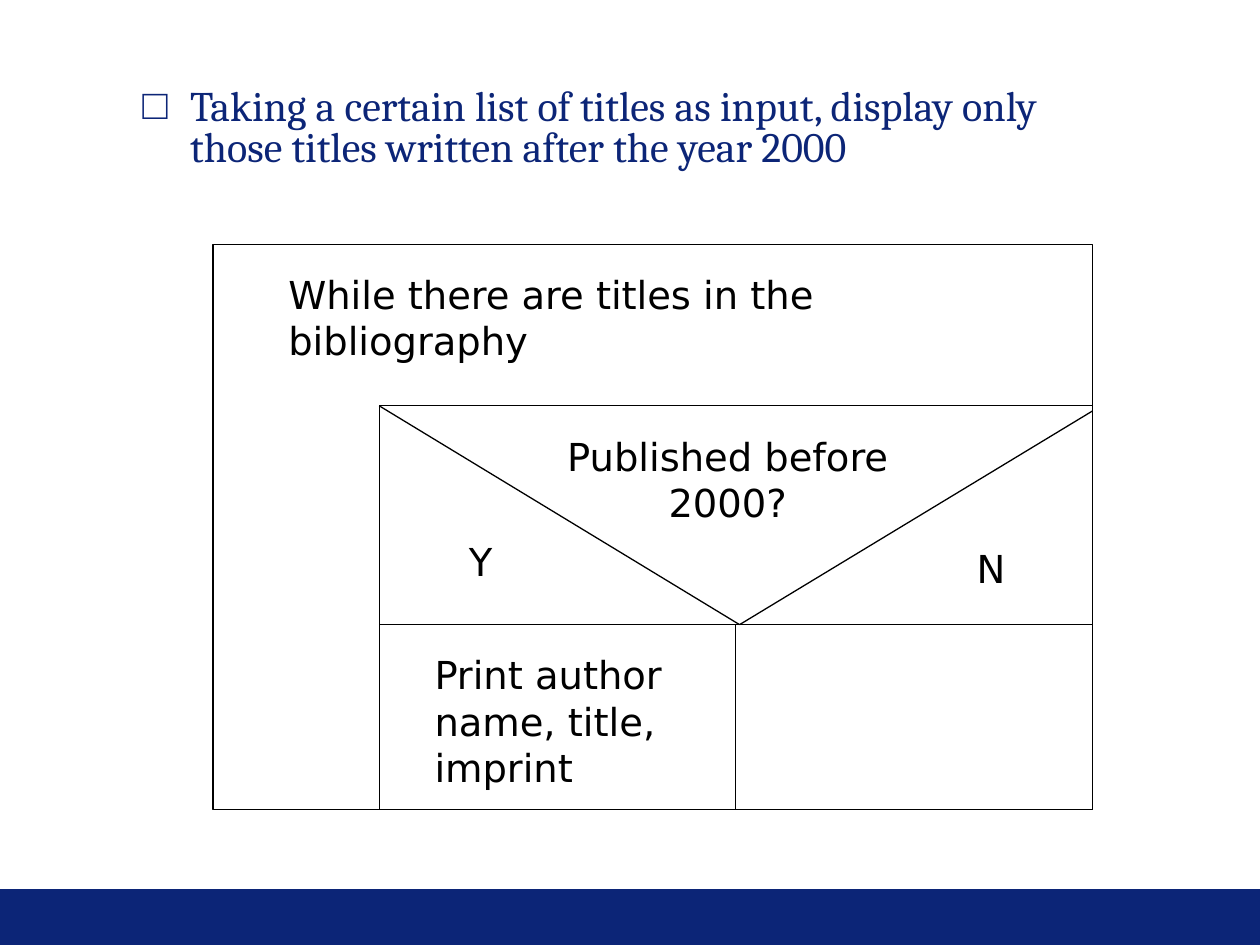
"""Build a slide with a structure chart that filters titles by year."""
from lxml import etree
from pptx import Presentation
from pptx.dml.color import RGBColor
from pptx.enum.shapes import MSO_CONNECTOR, MSO_SHAPE
from pptx.enum.text import MSO_ANCHOR, MSO_AUTO_SIZE, PP_ALIGN
from pptx.oxml.ns import qn
from pptx.util import Inches, Pt

RECT = MSO_SHAPE.RECTANGLE
LINE = MSO_CONNECTOR.STRAIGHT
TOP = MSO_ANCHOR.TOP
GROW = MSO_AUTO_SIZE.SHAPE_TO_FIT_TEXT
FIXED = MSO_AUTO_SIZE.NONE
LEFT, CENTER = PP_ALIGN.LEFT, PP_ALIGN.CENTER
NAVY = RGBColor(0x0C, 0x25, 0x77)
BLACK = RGBColor(0, 0, 0)

deck = Presentation()
deck.slide_width, deck.slide_height = Inches(10), Inches(7.5)
col, row = deck.slide_width / 100, deck.slide_height / 100
slide = deck.slides.add_slide(deck.slide_layouts[1])
shapes = slide.shapes


def grid(x, y, wide, high):
    return [round(n) for n in (x * col, y * row, wide * col, high * row)]


def write(frame, words, size=22, font="DejaVu Sans", color=BLACK, align=LEFT, fit=GROW):
    frame.word_wrap = True
    frame.auto_size = fit
    frame.vertical_anchor = TOP
    para = frame.paragraphs[0]
    para.alignment = align
    run = para.add_run()
    run.text = words
    run.font.size, run.font.name = Pt(size), font
    run.font.color.rgb = color
    return para


bar = shapes.add_shape(RECT, *grid(0, 94.1, 100, 5.9))
bar.shadow.inherit = False
bar.fill.solid()
bar.fill.fore_color.rgb = NAVY
bar.line.fill.background()

title = shapes.title.element
title.getparent().remove(title)
body = slide.placeholders[1]
body.left, body.top, body.width, body.height = grid(10.3, 1.47, 76.4, 23.2)
task = write(
    body.text_frame,
    "Taking a certain list of titles as input, display only those titles written after the year 2000",
    size=24, font="Cambria", color=NAVY, fit=FIXED,
)
body.text_frame.margin_top = round(8 * row)
task.line_spacing = 0.8
task.space_before = Pt(0)
props = task._p.get_or_add_pPr()
props.set("marL", str(Inches(0.38)))
props.set("indent", str(-Inches(0.38)))
tint = etree.SubElement(props, qn("a:buClr"))
etree.SubElement(tint, qn("a:srgbClr"), val=str(NAVY))
etree.SubElement(props, qn("a:buChar"), char="□")

edge, step, mid, end = 16.9, 30.1, 58.4, 86.7
head, test, act, foot = 25.87, 42.95, 66.1, 85.7
tip = 58.7

for x, y, base in ((edge, head, foot), (step, test, act), (step, act, foot)):
    box = shapes.add_shape(RECT, *grid(x, y, end - x, base - y))
    box.shadow.inherit = False
    box.fill.background()
    box.line.color.rgb = BLACK
    box.line.width = Pt(0.75)

for ends in ((step, test, tip, act), (tip, act, end, 43.5), (mid, act, mid, foot)):
    line = shapes.add_connector(LINE, *grid(*ends))
    line.line.color.rgb = BLACK
    line.line.width = Pt(0.75)
    etree.SubElement(line.element.spPr, qn("a:effectLst"))

for words, x, y, wide, high, align in (
    ("While there are titles in the bibliography", 21.9, 28, 59.9, 11.2, LEFT),
    ("Published before 2000?", 42.8, 45.2, 29.9, 11.2, CENTER),
    ("Y", 23.2, 56.27, 29.9, 6.27, CENTER),
    ("N", 63.7, 57.07, 29.9, 6.27, CENTER),
    ("Print author name, title, imprint", 33.5, 68.27, 29.9, 16.13, LEFT),
):
    label = shapes.add_textbox(*grid(x, y, wide, high))
    write(label.text_frame, words, align=align)

deck.save("out.pptx")
